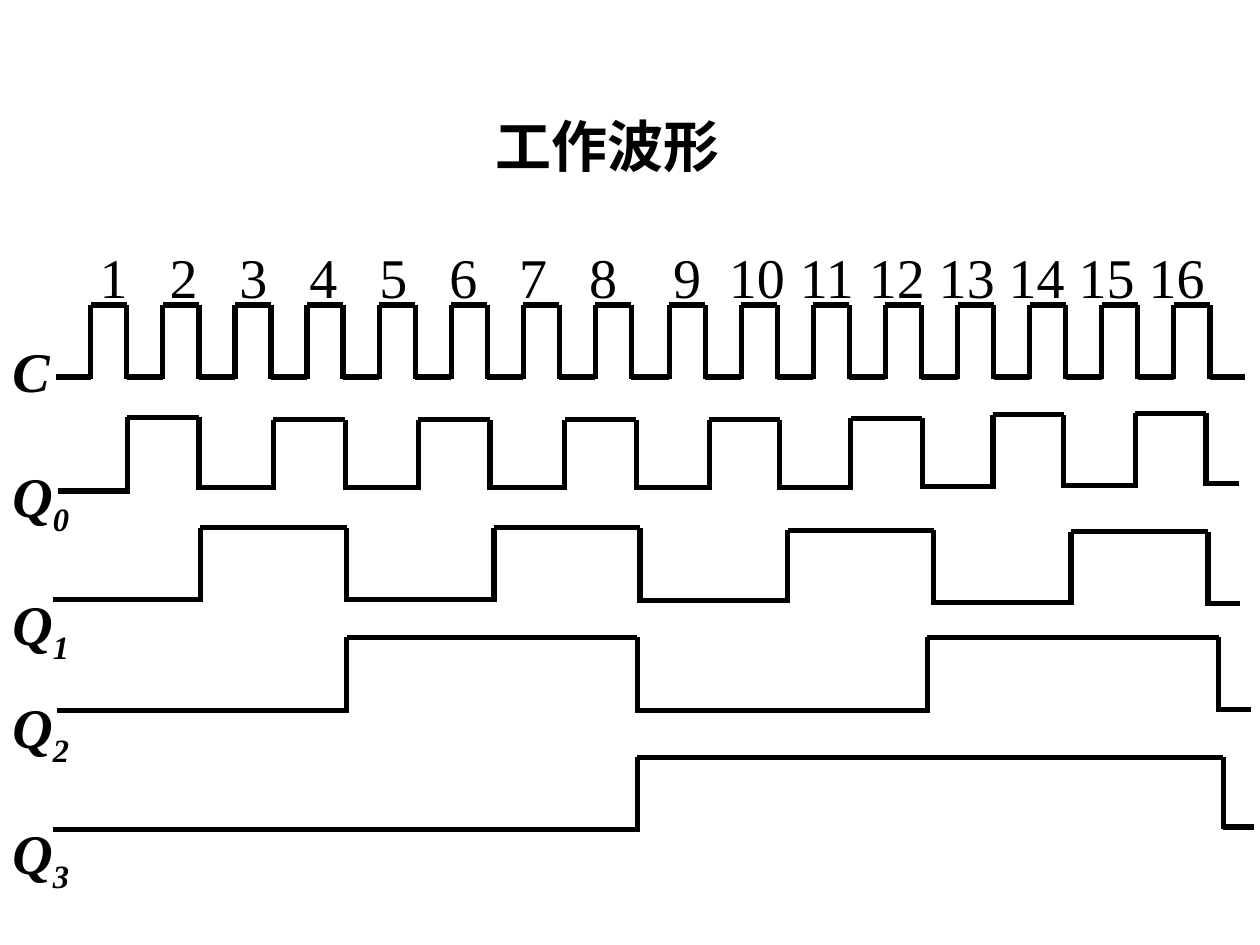
from itertools import pairwise

from lxml import etree
from pptx import Presentation
from pptx.dml.color import RGBColor
from pptx.enum import shapes as shape_types, text
from pptx.oxml import ns
from pptx.util import Cm, Pt

COLORS = {"ink": "000000", "paper": "FFFFFF"}
FONT = "Times New Roman"
LINE_WIDTH = Pt(3)
OVERLAP = 0.05  # how far an edge runs past the low level, closing the corner

CLOCK_HALF = 10.9 / 15
CLOCK_EDGES = [start + CLOCK_HALF * i for start in (1.83, 13.49) for i in range(16)]

# name, subscript, top of band, label offset, label width, edges, levels below the top
TRACES = [
    ("C", "", 6.15, 0.5, 0.97,
     [1.12, *CLOCK_EDGES, 25.1], [1.45, 0] * 16 + [1.45]),
    ("Q", "0", 8.33, 0.84, 2.11,
     [1.17, 2.57, 4.01, 5.51, 6.96, 8.43, 9.88, 11.38, 12.83, 14.3, 15.72,
      17.15, 18.59, 20.02, 21.44, 22.89, 24.31, 24.97],
     [1.57, 0.08] + [1.5, 0.13] * 4 + [1.5, 0.1, 1.47, 0.03, 1.45, 0, 1.42]),
    ("Q", "1", 10.64, 1.12, 2.11,
     [1.07, 4.04, 6.99, 9.96, 12.9, 15.88, 18.82, 21.59, 24.35, 24.99],
     [1.45, 0, 1.45, 0, 1.47, 0.05, 1.5, 0.08, 1.52]),
    ("Q", "2", 12.85, 0.99, 2.11,
     [1.14, 6.99, 12.85, 18.69, 24.57, 25.22], [1.47, 0, 1.47, 0, 1.45]),
    ("Q", "3", 15.27, 1.11, 2.11,
     [1.07, 12.85, 24.66, 25.27], [1.45, 0, 1.4]),
]


def add_run(paragraph, wording, bold=False, italic=False):
    run = paragraph.add_run()
    run.text = wording
    font = run.font
    font.name, font.size, font.bold, font.italic = FONT, Pt(32), bold, italic
    font.color.rgb = RGBColor.from_string(COLORS["ink"])
    return run


def prepare_frame(shape):
    """Set wrapping and top anchor; return the first paragraph."""
    frame = shape.text_frame
    frame.word_wrap = True
    frame.auto_size = text.MSO_AUTO_SIZE.SHAPE_TO_FIT_TEXT
    frame.vertical_anchor = text.MSO_ANCHOR.TOP
    paragraph = frame.paragraphs[0]
    paragraph.alignment = text.PP_ALIGN.LEFT
    return paragraph


def add_line(shapes, x1, y1, x2, y2):
    line = shapes.add_connector(
        shape_types.MSO_CONNECTOR.STRAIGHT, Cm(x1), Cm(y1), Cm(x2), Cm(y2))
    line.line.color.rgb = RGBColor.from_string(COLORS["ink"])
    line.line.width = LINE_WIDTH
    etree.SubElement(line._element.spPr, ns.qn("a:effectLst"))


def add_title(slide, left, top, width, height):
    title = slide.shapes.title
    title.left, title.top, title.width, title.height = map(Cm, (left, top, width, height))
    add_run(prepare_frame(title), "工作波形", bold=True)


def add_pulse_numbers(slide, left, top, width, height):
    """Number the clock pulses at centred tab stops."""
    box = slide.shapes.add_textbox(*map(Cm, (left, top, width, height)))
    paragraph = prepare_frame(box)
    tabs = etree.SubElement(paragraph._p.get_or_add_pPr(), ns.qn("a:tabLst"))
    for start in (0.56, 12.12):
        for i in range(8):
            etree.SubElement(tabs, ns.qn("a:tab"), pos=str(Cm(start + 1.41 * i)), algn="ctr")
    add_run(paragraph, "".join(f"\t{number}" for number in range(1, 17)))


def add_trace(slide, left, top, name, subscript, label_offset, label_width, edges, levels):
    """Draw one labelled waveform as a group."""
    shapes = slide.shapes.add_group_shape().shapes
    label = shapes.add_textbox(Cm(left), Cm(top + label_offset), Cm(label_width), Cm(1.7))
    paragraph = prepare_frame(label)
    add_run(paragraph, name, bold=True, italic=True)
    if subscript:
        run = add_run(paragraph, subscript, bold=True, italic=True)
        run._r.get_or_add_rPr().set("baseline", "-25000")

    for (start, end), level in zip(pairwise(edges), levels):
        add_line(shapes, left + start, top + level, left + end, top + level)
    for edge, pair in zip(edges[1:], pairwise(levels)):
        add_line(shapes, left + edge, top + min(pair), left + edge, top + max(pair) + OVERLAP)


def main():
    presentation = Presentation()
    presentation.slide_width, presentation.slide_height = Cm(25.4), Cm(19.05)
    slide = presentation.slides.add_slide(presentation.slide_layouts[5])
    slide.background.fill.solid()
    slide.background.fill.fore_color.rgb = RGBColor.from_string(COLORS["paper"])

    add_title(slide, 9.73, 2.12, 5.72, 1.62)
    for name, subscript, top, label_offset, label_width, edges, levels in TRACES:
        add_trace(slide, 0, top, name, subscript, label_offset, label_width, edges, levels)
    add_pulse_numbers(slide, 1.48, 4.76, 23.92, 1.62)
    presentation.save("out.pptx")


if __name__ == "__main__":
    main()
